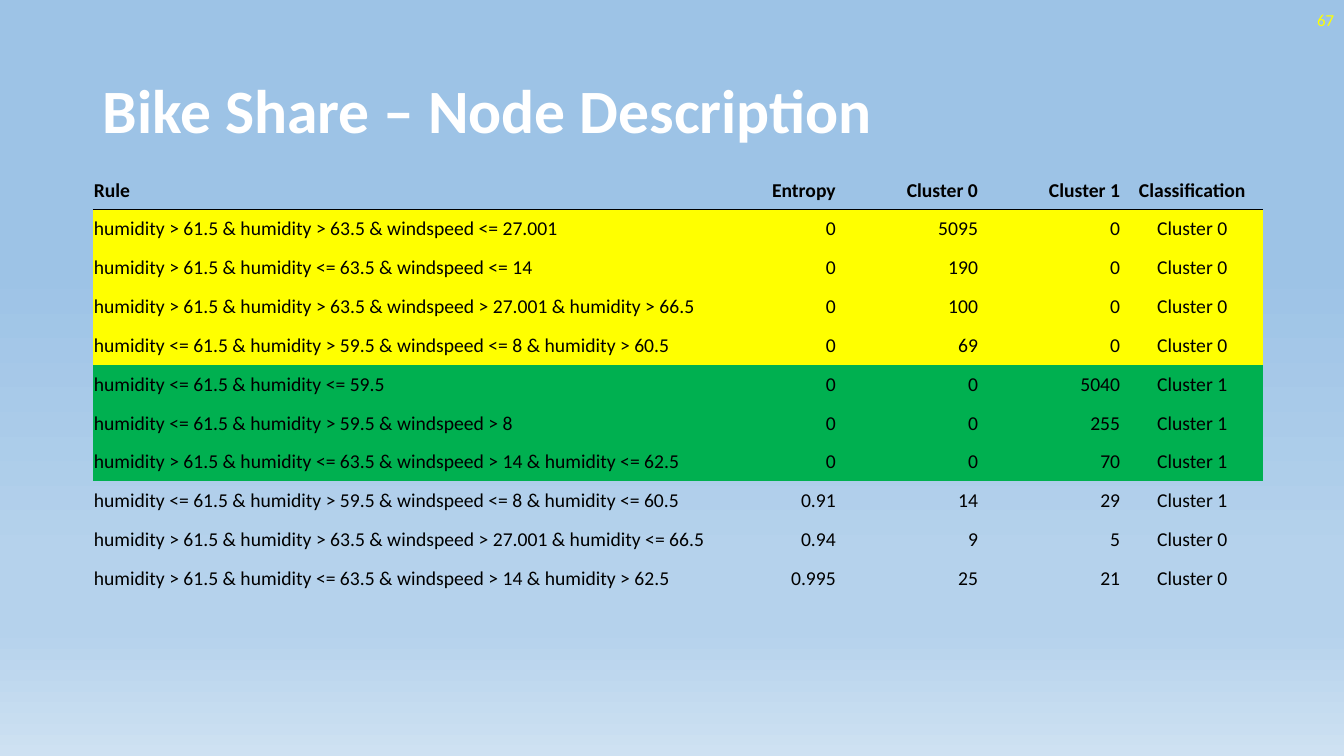
from lxml import etree
from pptx import Presentation
from pptx.dml.color import RGBColor
from pptx.enum.text import MSO_ANCHOR, PP_ALIGN
from pptx.oxml.ns import qn
from pptx.util import Inches, Pt

LEFT, CENTER, RIGHT = PP_ALIGN.LEFT, PP_ALIGN.CENTER, PP_ALIGN.RIGHT
MIDDLE = MSO_ANCHOR.MIDDLE

WHITE = RGBColor(0xFF, 0xFF, 0xFF)
BLACK = RGBColor(0x00, 0x00, 0x00)
YELLOW = RGBColor(0xFF, 0xFF, 0x00)
GREEN = RGBColor(0x00, 0xB0, 0x50)
SKY = RGBColor(0x9D, 0xC3, 0xE6)
PALE_SKY = RGBColor(0xB5, 0xD2, 0xEC)
HAZE = RGBColor(0xCE, 0xE1, 0xF2)

FONT = "Calibri"
NO_STYLE_NO_GRID = "{2D5ABB26-0587-4C30-8999-92F81FD0307C}"
BACKGROUND_STOPS = [(35, SKY), (74, PALE_SKY), (83, PALE_SKY), (100, HAZE)]

COLUMN_WIDTHS = [6.28, 1.1, 1.41, 1.41, 1.41]
COLUMN_ALIGNMENTS = [LEFT, RIGHT, RIGHT, RIGHT, CENTER]
TABLE_HEIGHT = 4.24
HEADERS = ["Rule", "Entropy", "Cluster 0", "Cluster 1", "Classification"]
NODES = [
    ("humidity > 61.5 & humidity > 63.5 & windspeed <= 27.001", "0", "5095", "0", "Cluster 0"),
    ("humidity > 61.5 & humidity <= 63.5 & windspeed <= 14", "0", "190", "0", "Cluster 0"),
    ("humidity > 61.5 & humidity > 63.5 & windspeed > 27.001 & humidity > 66.5",
     "0", "100", "0", "Cluster 0"),
    ("humidity <= 61.5 & humidity > 59.5 & windspeed <= 8 & humidity > 60.5",
     "0", "69", "0", "Cluster 0"),
    ("humidity <= 61.5 & humidity <= 59.5", "0", "0", "5040", "Cluster 1"),
    ("humidity <= 61.5 & humidity > 59.5 & windspeed > 8", "0", "0", "255", "Cluster 1"),
    ("humidity > 61.5 & humidity <= 63.5 & windspeed > 14 & humidity <= 62.5",
     "0", "0", "70", "Cluster 1"),
    ("humidity <= 61.5 & humidity > 59.5 & windspeed <= 8 & humidity <= 60.5",
     "0.91", "14", "29", "Cluster 1"),
    ("humidity > 61.5 & humidity > 63.5 & windspeed > 27.001 & humidity <= 66.5",
     "0.94", "9", "5", "Cluster 0"),
    ("humidity > 61.5 & humidity <= 63.5 & windspeed > 14 & humidity > 62.5",
     "0.995", "25", "21", "Cluster 0"),
]
PURE_NODE_COLORS = {"Cluster 0": YELLOW, "Cluster 1": GREEN}


def write_text(text_frame, text, size, color, bold=False, align=LEFT, line_spacing=None):
    paragraph = text_frame.paragraphs[0]
    paragraph.alignment = align
    paragraph.line_spacing = line_spacing
    run = paragraph.add_run()
    run.text = text
    run.font.name = FONT
    run.font.size = Pt(size)
    run.font.bold = bold
    run.font.color.rgb = color


def add_text_box(slide, left, top, width, height, text, **text_format):
    box = slide.shapes.add_textbox(Inches(left), Inches(top), Inches(width), Inches(height))
    box.text_frame.word_wrap = True
    box.text_frame.vertical_anchor = MIDDLE
    write_text(box.text_frame, text, **text_format)


def set_background(slide):
    fill = slide.background.fill
    fill.gradient()
    fill.gradient_angle = 270
    stop_list = next(slide.element.iter(qn("a:gsLst")))
    for stop in list(stop_list):
        stop_list.remove(stop)
    for percent, color in BACKGROUND_STOPS:
        stop = etree.SubElement(stop_list, qn("a:gs"), pos=str(percent * 1000))
        etree.SubElement(stop, qn("a:srgbClr"), val=str(color))


def add_bottom_border(cell, color, width):
    border = etree.Element(qn("a:lnB"), w=str(Pt(width)))
    solid_fill = etree.SubElement(border, qn("a:solidFill"))
    etree.SubElement(solid_fill, qn("a:srgbClr"), val=str(color))
    # Borders come before the fill in the cell properties
    cell._tc.get_or_add_tcPr().insert(0, border)


def fill_cell(cell, text, fill_color, **text_format):
    cell.margin_left = cell.margin_right = cell.margin_top = Inches(0.01)
    cell.margin_bottom = 0
    cell.vertical_anchor = MIDDLE
    if fill_color is None:
        cell.fill.background()
    else:
        cell.fill.solid()
        cell.fill.fore_color.rgb = fill_color
    write_text(cell.text_frame, text, size=14, color=BLACK, **text_format)


def add_node_table(slide, left, top):
    rows = [HEADERS, *NODES]
    frame = slide.shapes.add_table(
        len(rows), len(HEADERS), Inches(left), Inches(top),
        Inches(sum(COLUMN_WIDTHS)), Inches(TABLE_HEIGHT))
    table = frame.table
    table.horz_banding = False
    next(frame._element.iter(qn("a:tableStyleId"))).text = NO_STYLE_NO_GRID
    for column, width in zip(table.columns, COLUMN_WIDTHS):
        column.width = Inches(width)

    for row_index, values in enumerate(rows):
        is_header = row_index == 0
        # Only nodes with zero entropy are coloured by their cluster
        fill_color = PURE_NODE_COLORS[values[-1]] if values[1] == "0" else None
        for column_index, (text, align) in enumerate(zip(values, COLUMN_ALIGNMENTS)):
            cell = table.cell(row_index, column_index)
            fill_cell(cell, text, fill_color, bold=is_header, align=align)
            if is_header:
                add_bottom_border(cell, BLACK, 0.5)


def main():
    presentation = Presentation()
    presentation.slide_width = Inches(13.33)
    presentation.slide_height = Inches(7.5)
    slide = presentation.slides.add_slide(presentation.slide_layouts[6])
    set_background(slide)

    # Title and page number
    add_text_box(slide, 0.92, 0.4, 11.5, 1.45, "Bike Share – Node Description",
                 size=44, color=WHITE, bold=True, line_spacing=0.9)
    add_text_box(slide, 10.33, 0, 3, 0.4, "67", size=12, color=YELLOW, align=RIGHT)

    # Rules of the tree nodes
    add_node_table(slide, 0.92, 1.69)
    presentation.save("out.pptx")


if __name__ == "__main__":
    main()
